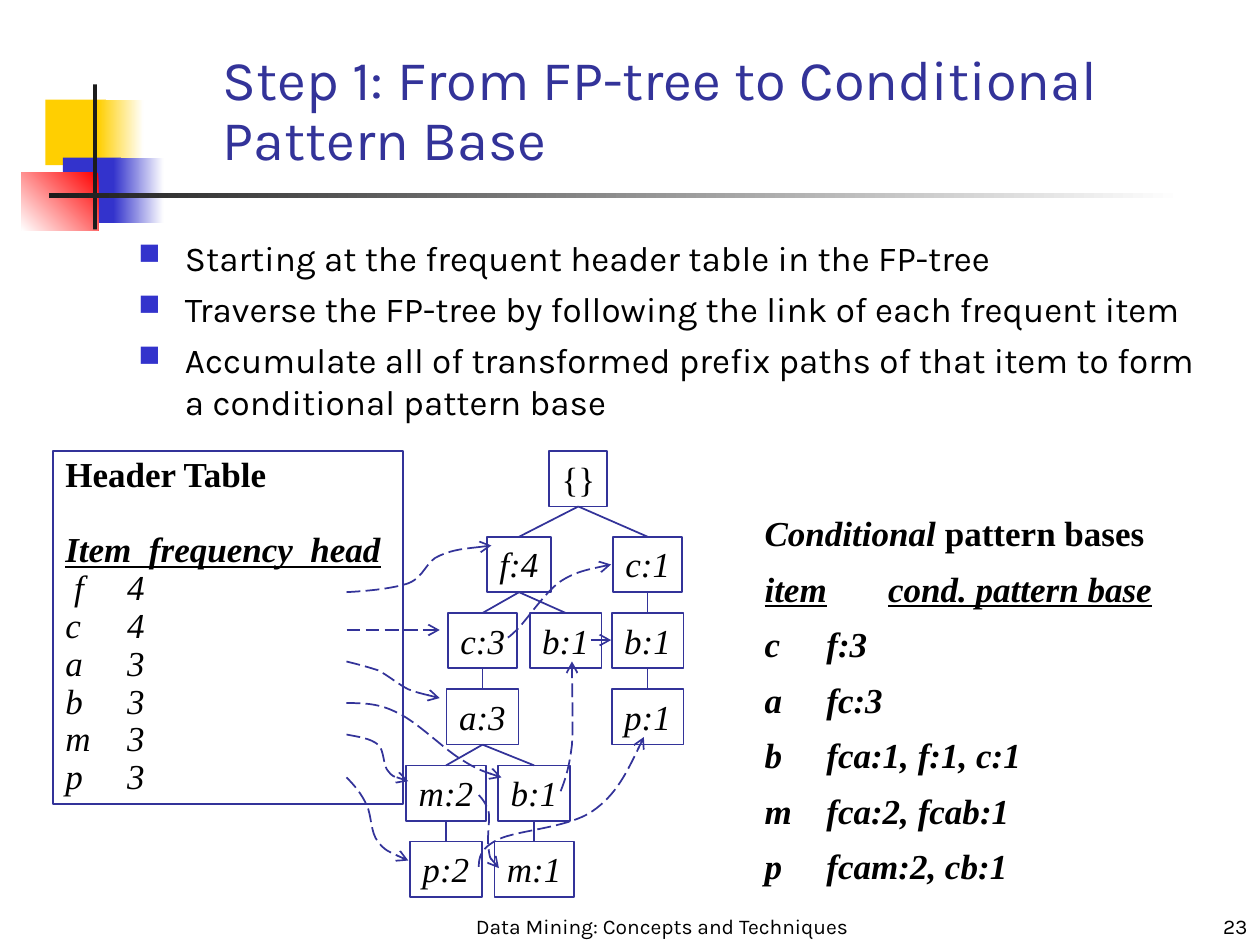
from lxml import etree
from pptx import Presentation
from pptx.dml.color import RGBColor
from pptx.enum.dml import MSO_LINE
from pptx.enum.shapes import MSO_CONNECTOR, MSO_SHAPE
from pptx.enum.text import MSO_ANCHOR, PP_ALIGN
from pptx.oxml.ns import qn
from pptx.util import Inches, Pt

RECT, LINE = MSO_SHAPE.RECTANGLE, MSO_CONNECTOR.STRAIGHT
DASH = MSO_LINE.LONG_DASH
TOP, LOW = MSO_ANCHOR.TOP, MSO_ANCHOR.BOTTOM
LEFT, MID, RIGHT = PP_ALIGN.LEFT, PP_ALIGN.CENTER, PP_ALIGN.RIGHT
NAVY, BLUE = RGBColor(0x33, 0x33, 0x99), RGBColor(0x33, 0x33, 0xCC)
GOLD, RED = RGBColor(0xFF, 0xCF, 0x01), RGBColor(0xFF, 0, 0)
COAL, INK = RGBColor(0x1C, 0x1C, 0x1C), RGBColor(0, 0, 0)
WHITE = RGBColor(0xFF, 0xFF, 0xFF)
SANS, SERIF = "Karla", "Times New Roman"

deck = Presentation()
deck.slide_width, deck.slide_height = Inches(10), Inches(7.5)
slide = deck.slides.add_slide(deck.slide_layouts[6])
shapes = slide.shapes
UNIT = deck.slide_width / 10    # the slide is a grid of 10 columns by 7.5 rows
TAB = 0.49


def write(place, paras, size, font=SERIF, color=INK, lead=1, gap=0,
          anchor=TOP, align=LEFT):
    """Add a text box; each paragraph is a list of (words, style letters b, i, u)."""
    box = shapes.add_textbox(*(int(v * UNIT) for v in place))
    frame = box.text_frame
    frame.word_wrap, frame.vertical_anchor = True, anchor
    for n, runs in enumerate(paras):
        para = frame.paragraphs[0] if n == 0 else frame.add_paragraph()
        para.alignment, para.line_spacing = align, lead
        para.space_before = Pt(gap)
        for words, style in runs:
            run = para.add_run()
            run.text = words
            face = run.font
            face.name, face.size, face.color.rgb = font, Pt(size), color
            face.bold, face.italic, face.underline = (c in style for c in "biu")
        if any("\t" in words for words, _ in runs):
            tabs = etree.SubElement(para._p.get_or_add_pPr(), qn("a:tabLst"))
            etree.SubElement(tabs, qn("a:tab"), pos=str(int(TAB * UNIT)), algn="l")
            etree.SubElement(tabs, qn("a:tab"), pos=str(int(2 * TAB * UNIT)), algn="l")
    return box


def ink(item, arrow=False):
    """Give an outline its colour, and a dash and arrowhead for a node link."""
    item.line.color.rgb, item.line.width = NAVY, Pt(1)
    if arrow:
        item.line.dash_style = DASH
        edge = item._element.spPr.find(qn("a:ln"))
        etree.SubElement(edge, qn("a:tailEnd"), type="arrow")


# Corner ornament: place, colour, fade colour, angle
for place, tone, fade, turn in [
    ((0.36, 0.79, 0.48, 0.52), GOLD, None, 0),
    ((0.78, 0.79, 0.36, 0.52), GOLD, WHITE, 0),
    ((0.5, 1.25, 0.46, 0.52), BLUE, None, 0),
    ((0.9, 1.25, 0.4, 0.52), BLUE, WHITE, 0),
    ((0.17, 1.37, 0.61, 0.46), RED, WHITE, 225),
    ((0.74, 0.67, 0.03, 1.15), COAL, None, 0),
    ((0.39, 1.53, 9, 0.04), COAL, WHITE, 0),
]:
    block = shapes.add_shape(RECT, *(int(v * UNIT) for v in place))
    block.shadow.inherit = False
    block.line.fill.background()
    if fade is None:
        block.fill.solid()
        block.fill.fore_color.rgb = tone
    else:
        block.fill.gradient()
        block.fill.gradient_angle = turn
        for stop, shade, pos in zip(block.fill.gradient_stops, (tone, fade), (0, 1)):
            stop.color.rgb, stop.position = shade, pos

# Footer, title and bullets
write((3.67, 7.08, 3.17, 0.42), [[("Data Mining: Concepts and Techniques", "")]],
      12, SANS, anchor=LOW, align=MID)
write((7.92, 7.08, 2.08, 0.42), [[("23", "")]], 12, SANS, anchor=LOW, align=RIGHT)
write((1.67, 0.25, 8, 1.17),
      [[("Step 1: From FP-tree to Conditional Pattern Base", "")]],
      32, SANS, NAVY, lead=0.9, anchor=LOW)
points = [
    "Starting at the frequent header table in the FP-tree",
    "Traverse the FP-tree by following the link of each frequent item",
    "Accumulate all of transformed prefix paths of that item to form "
    "a conditional pattern base",
]
body = write((1, 1.83, 8.64, 1.58), [[(p, "")] for p in points], 20, SANS, gap=5)
for para in body.text_frame.paragraphs:
    props = para._p.get_or_add_pPr()
    props.set("marL", str(int(0.37 * UNIT)))
    props.set("indent", str(int(-0.37 * UNIT)))
    tint = etree.SubElement(props, qn("a:buClr"))
    etree.SubElement(tint, qn("a:srgbClr"), val=str(BLUE))
    etree.SubElement(props, qn("a:buSzPct"), val="85000")
    etree.SubElement(props, qn("a:buChar"), char="■")

# Conditional pattern bases
bases = ["c\tf:3", "a\tfc:3", "b\tfca:1, f:1, c:1", "m\tfca:2, fcab:1",
         "p\tfcam:2, cb:1"]
lines = [[("Conditional ", "bi"), ("pattern bases", "b")],
         [("item\tcond. pattern base", "biu")]]
lines += [[(b, "bi")] for b in bases]
cond = write((5.97, 4.01, 3.64, 3.08), lines, 20, lead=0.8, gap=12.5)
cond.text_frame.paragraphs[0].line_spacing = 1

# FP-tree: name -> label, centre column, level, parent
tree = {
    "root": ("{}", 4.59, 0, None),
    "f": ("f:4", 4.12, 1, "root"),
    "c1": ("c:1", 5.14, 1, "root"),
    "c3": ("c:3", 3.83, 2, "f"),
    "bf": ("b:1", 4.49, 2, "f"),
    "bc": ("b:1", 5.14, 2, "c1"),
    "a": ("a:3", 3.83, 3, "c3"),
    "pb": ("p:1", 5.14, 3, "bc"),
    "m2": ("m:2", 3.54, 4, "a"),
    "ba": ("b:1", 4.24, 4, "a"),
    "p2": ("p:2", 3.54, 5, "m2"),
    "m1": ("m:1", 4.24, 5, "ba"),
}
wide = {"{": 0.46, "f": 0.51, "c": 0.55, "m": 0.63}
nodes = {}
for name, (label, mid, level, parent) in tree.items():
    w = wide.get(label[0], 0.57)
    y = 4.26 + 0.605 * (level - 1) if level else 3.58
    node = write((mid - w / 2, y, w, 0.44), [[(label, "i" if parent else "")]], 20)
    node.text_frame.margin_right = 0    # room for the label on one line
    ink(node)
    nodes[name] = node
    if parent:
        edge = shapes.add_connector(LINE, 0, 0, 0, 0)
        edge.begin_connect(nodes[parent], 2)
        edge.end_connect(node, 0)
        ink(edge)
        etree.SubElement(edge._element.spPr, qn("a:effectLst"))

# Header table
counts = [" f\t4", "c\t4", "a\t3", "b\t3", "m\t3", "p\t3"]
lines = [[("Header Table", "b")], [("Item  frequency  head", "biu")]]
lines += [[(c, "i")] for c in counts]
head = write((0.42, 3.58, 2.78, 2.8), lines, 20, lead=0.9)
head.text_frame.paragraphs[1].space_before = Pt(21.5)
ink(head)

# Straight node links, in inches
for x1, x2, y in [(2.75, 3.49, 5), (4.69, 4.85, 5.08)]:
    link = shapes.add_connector(LINE, *(int(v * UNIT) for v in (x1, y, x2, y)))
    ink(link, arrow=True)
    etree.SubElement(link._element.spPr, qn("a:effectLst"))

# Curved node links: a start, then three points per curve, in hundredths of an inch
for start, *rest in [
    [(275, 470), (294, 469), (312, 467), (324, 463), (337, 458), (338, 445),
     (349, 441), (360, 436), (375, 435), (390, 433)],
    [(403, 506), (403, 506), (404, 506), (411, 499), (418, 492), (432, 471),
     (444, 462), (456, 454), (471, 451), (485, 448)],
    [(275, 525), (283, 527), (291, 529), (300, 532), (308, 536), (316, 543),
     (324, 547), (332, 550), (341, 552), (349, 554)],
    [(275, 558), (288, 558), (301, 558), (316, 566), (331, 573), (352, 594),
     (365, 602), (379, 611), (389, 614), (398, 617)],
    [(445, 628), (449, 618), (452, 608), (454, 591), (455, 574), (454, 549),
     (454, 525)],
    [(275, 583), (285, 585), (294, 586), (300, 591), (305, 595), (304, 608),
     (308, 612), (312, 617), (318, 618), (324, 620)],
    [(380, 631), (383, 634), (386, 638), (388, 645), (389, 653), (386, 667),
     (388, 675), (389, 682), (392, 686), (396, 689)],
    [(275, 617), (281, 623), (287, 630), (291, 639), (295, 647), (294, 661),
     (300, 668), (305, 675), (315, 679), (324, 683)],
    [(380, 688), (380, 681), (381, 673), (396, 666), (411, 659), (451, 657),
     (470, 644), (489, 631), (500, 608), (511, 585)],
]:
    draft = shapes.build_freeform(*start, scale=UNIT / 100)
    draft.add_line_segments(rest, close=False)
    curve = draft.convert_to_shape()
    curve.shadow.inherit = False
    curve.fill.background()
    ink(curve, arrow=True)
    track = next(curve._element.iter(qn("a:path")))
    steps = track.findall(qn("a:lnTo"))
    for n in range(0, len(steps), 3):
        bend = etree.SubElement(track, qn("a:cubicBezTo"))
        for step in steps[n:n + 3]:
            bend.append(step[0])
            track.remove(step)

deck.save("out.pptx")
